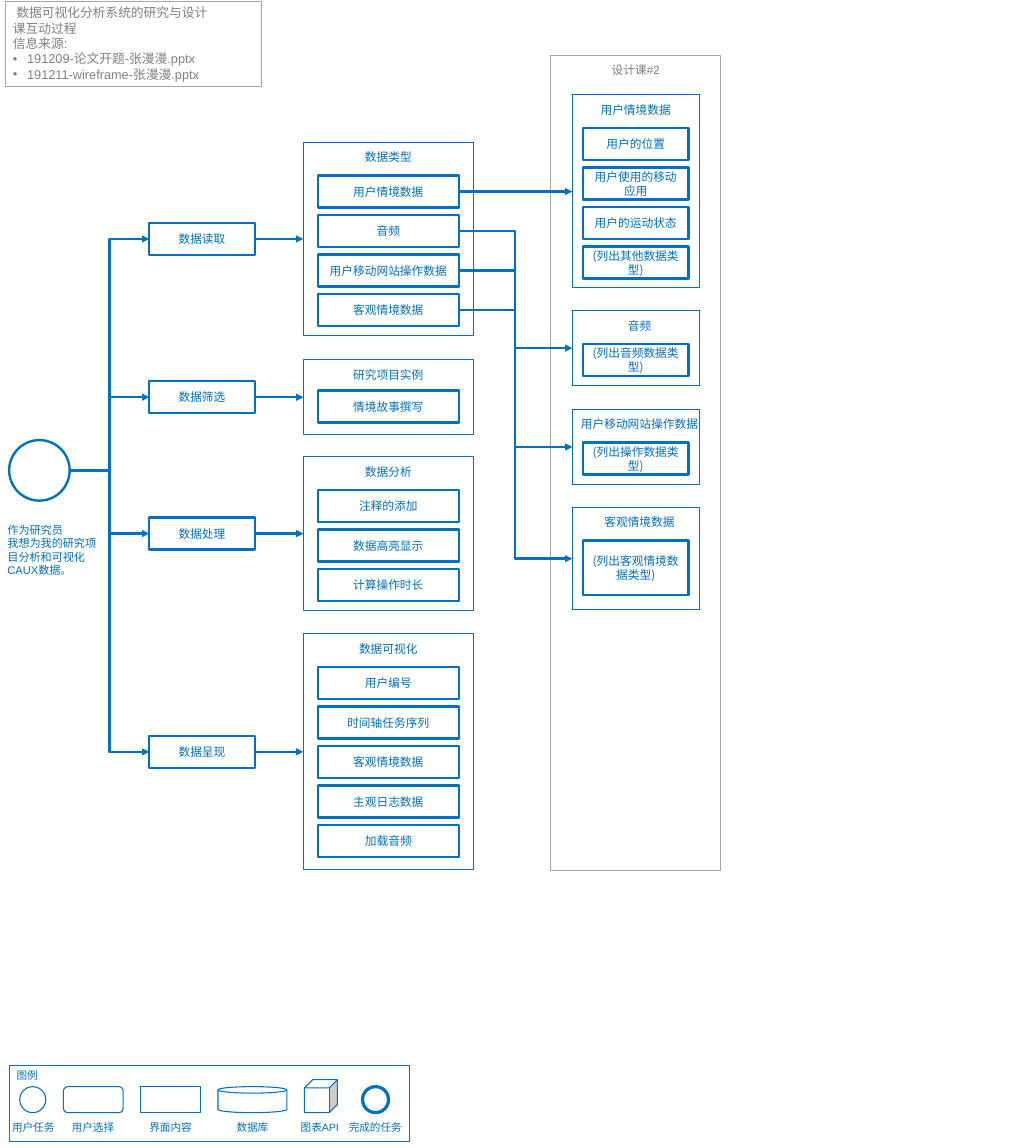
from dataclasses import dataclass

from lxml import etree
from pptx import Presentation
from pptx.dml.color import RGBColor as RGB
from pptx.enum.shapes import MSO_CONNECTOR as CONN, MSO_SHAPE as SHAPE
from pptx.enum.text import MSO_ANCHOR as ANCHOR, PP_ALIGN as ALIGN
from pptx.oxml.ns import qn
from pptx.util import Pt


@dataclass(frozen=True)
class Theme:
    blue: RGB = RGB(0x00, 0x70, 0xC0)
    gray: RGB = RGB(0x80, 0x80, 0x80)
    gray_line: RGB = RGB(0xA6, 0xA6, 0xA6)
    white: RGB = RGB(0xFF, 0xFF, 0xFF)
    latin: str = "Arial"
    cjk: str = "Noto Sans CJK JP"
    note: float = 12
    body: float = 11
    story: float = 10.5
    legend: float = 10
    thin: float = 1
    bold: float = 2.25


T = Theme()
TITLE_INSETS = (0, 7.2, 0, 0)
BOX_H, BOX_PITCH = 30, 37.2


# Basic parts
def write(sp, lines, size=T.body, font=T.latin, color=T.blue, align=ALIGN.CENTER,
          anchor=ANCHOR.MIDDLE, insets=(7.2, 3.6, 7.2, 3.6), bullets=()):
    tf = sp.text_frame
    tf.word_wrap, tf.vertical_anchor = True, anchor
    tf.margin_left, tf.margin_top, tf.margin_right, tf.margin_bottom = map(Pt, insets)
    for i, line in enumerate([lines] if isinstance(lines, str) else lines):
        p = tf.paragraphs[0] if i == 0 else tf.add_paragraph()
        p.alignment = align
        if i in bullets:
            pPr = p._p.get_or_add_pPr()
            pPr.set("marL", str(Pt(13.5)))
            pPr.set("indent", str(-Pt(13.5)))
            etree.SubElement(pPr, qn("a:buFont")).set("typeface", T.latin)
            etree.SubElement(pPr, qn("a:buChar")).set("char", "•")
        r = p.add_run()
        r.text = line
        r.font.size, r.font.name, r.font.color.rgb = Pt(size), font, color
        etree.SubElement(r._r.get_or_add_rPr(), qn("a:ea")).set("typeface", font)


def shape(x, y, w, h, kind=SHAPE.RECTANGLE, line=T.blue, width=T.thin, fill=True):
    sp = shapes.add_shape(kind, Pt(x), Pt(y), Pt(w), Pt(h))
    sp.shadow.inherit = False
    if fill:
        sp.fill.solid()
        sp.fill.fore_color.rgb = T.white
    else:
        sp.fill.background()
    sp.line.color.rgb, sp.line.width = line, Pt(width)
    return sp


def label(x, y, w, h, lines, **fmt):
    write(shapes.add_textbox(Pt(x), Pt(y), Pt(w), Pt(h)), lines, **fmt)


def arrow(x1, y1, x2, y2):
    kind = CONN.STRAIGHT if y1 == y2 else CONN.ELBOW
    c = shapes.add_connector(kind, Pt(x1), Pt(y1), Pt(x2), Pt(y2))
    c.line.color.rgb, c.line.width = T.blue, Pt(T.bold)
    spPr = c.element.spPr
    etree.SubElement(spPr.find(qn("a:ln")), qn("a:tailEnd")).set("type", "triangle")
    etree.SubElement(spPr, qn("a:effectLst"))


# Regions
def source_note(x, y, w, h):
    sp = shape(x, y, w, h, line=T.gray_line, width=0.75, fill=False)
    write(sp, [" 数据可视化分析系统的研究与设计", "课互动过程", "信息来源:",
               "191209-论文开题-张漫漫.pptx", "191211-wireframe-张漫漫.pptx"],
          size=T.note, color=T.gray, align=ALIGN.LEFT, anchor=ANCHOR.TOP, bullets=(3, 4))


def researcher(x, y, d):
    shape(x, y, d, d, SHAPE.OVAL, width=T.bold)
    label(x - 8.6, y + 62, 100.8, 82.8,
          ["作为研究员", "我想为我的研究项目分析和可视化CAUX数据。"],
          size=T.story, align=ALIGN.LEFT)


def card(x, y, w, h, title, items, inset, top=31.3, box_h=BOX_H, title_font=T.latin,
         font=T.cjk, title_insets=TITLE_INSETS, box_pad=0):
    write(shape(x, y, w, h), title, font=title_font, anchor=ANCHOR.TOP, insets=title_insets)
    for i, item in enumerate(items):
        box = shape(x + inset, y + top + i * BOX_PITCH, w - 2 * inset, box_h, width=T.bold)
        write(box, item, font=font, insets=(box_pad, 0, box_pad, 0))


def workflow(x, card_x, start_x, start_y):
    steps = [  # step, its centre, card top, card height, card title, items, first box
        ("数据读取", 224.8, 133.9, 181.4, "数据类型",
         ["用户情境数据", "音频", "用户移动网站操作数据", "客观情境数据"], 31.3),
        ("数据筛选", 373.7, 338.4, 70.6, "研究项目实例", ["情境故事撰写"], 29),
        ("数据处理", 502, 429.8, 144.7, "数据分析",
         ["注释的添加", "数据高亮显示", "计算操作时长"], 31.3),
        ("数据呈现", 707.3, 596.2, 221.8, "数据可视化",
         ["用户编号", "时间轴任务序列", "客观情境数据", "主观日志数据", "加载音频"], 31.3),
    ]
    step_w = 99.4
    for i, (step, mid, top, h, title, items, first) in enumerate(steps):
        font = T.cjk if i else T.latin
        write(shape(x, mid - BOX_H / 2, step_w, BOX_H, width=T.bold), step, insets=(0,) * 4)
        card(card_x, top, 160, h, title, items, 13.7, first, title_font=font, font=font)
        arrow(start_x, start_y, x, mid)
        arrow(x + step_w, mid, card_x, mid)


def design_class(x, y, w, h):
    write(shape(x, y, w, h, line=T.gray_line), "设计课#2", color=T.gray,
          anchor=ANCHOR.TOP, insets=TITLE_INSETS)
    groups = [  # top, height, box height, title, items
        (37.4, 181.4, BOX_H, "用户情境数据",
         ["用户的位置", "用户使用的移动应用", "用户的运动状态", "(列出其他数据类型)"]),
        (240.5, 70.6, BOX_H, "音频", ["(列出音频数据类型)"]),
        (333.4, 70.6, BOX_H, "用户移动网站操作数据", ["(列出操作数据类型)"]),
        (425.5, 95.8, 51, "客观情境数据", ["(列出客观情境数据类型)"]),
    ]
    for i, (top, card_h, box_h, title, items) in enumerate(groups):
        card(x + 20.2, y + top, 119.5, card_h, title, items, 10, box_h=box_h,
             title_insets=(7.2 if i else 0, 7.2, 0, 0), box_pad=7.2)


def data_links(x1, x2, y):
    for i, target in enumerate((y, 327.6, 420.5, 525.6)):
        arrow(x1, y + i * BOX_PITCH, x2, target)


def legend(x, y, w, h):
    write(shape(x, y, w, h), "图例", size=T.legend, align=ALIGN.LEFT, anchor=ANCHOR.TOP)
    entries = [  # kind, left, width, height, line, label, label left, label width
        (SHAPE.OVAL, 10, 24.5, 24.5, T.thin, "用户任务", -7.2, 59.8),
        (SHAPE.ROUNDED_RECTANGLE, 51.1, 56.2, 24.5, T.thin, "用户选择", 49, 59.8),
        (SHAPE.RECTANGLE, 123.8, 56.2, 24.5, T.thin, "界面内容", 123.8, 56.2),
        (SHAPE.CAN, 196.6, 64.8, 24.5, T.thin, "数据库", 196.6, 64.8),
        (SHAPE.CUBE, 277.9, 31, 31, T.thin, "图表API", 260, 64.8),
        (SHAPE.OVAL, 332.6, 24.5, 24.5, 3, "完成的任务", 311.8, 65.5),
    ]
    for kind, left, sw, sh, line, text, text_left, text_w in entries:
        shape(x + left, y + 44.6 - sh, sw, sh, kind, width=line)
        label(x + text_left, y + 46, text_w, 25.2, text, size=T.legend)


prs = Presentation()
prs.slide_width, prs.slide_height = Pt(959), Pt(1080)
shapes = prs.slides.add_slide(prs.slide_layouts[6]).shapes

source_note(5, 1.4, 241.2, 79.9)
researcher(8.6, 414, 57)
workflow(140.4, 285.5, 66, 442.8)
design_class(518.4, 51.8, 159.8, 766.8)
data_links(430.8, 538.6, 180.2)
legend(8.6, 1002.2, 377.3, 71.3)

prs.save("out.pptx")
